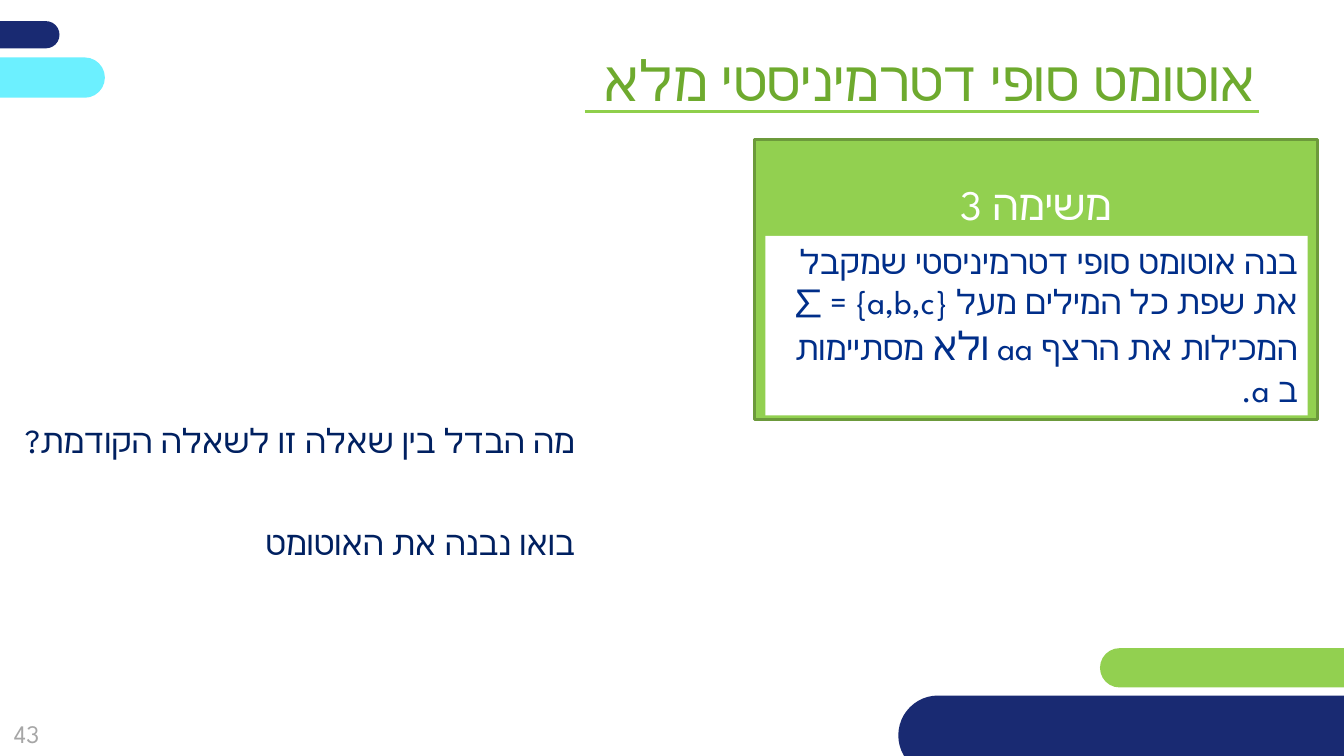
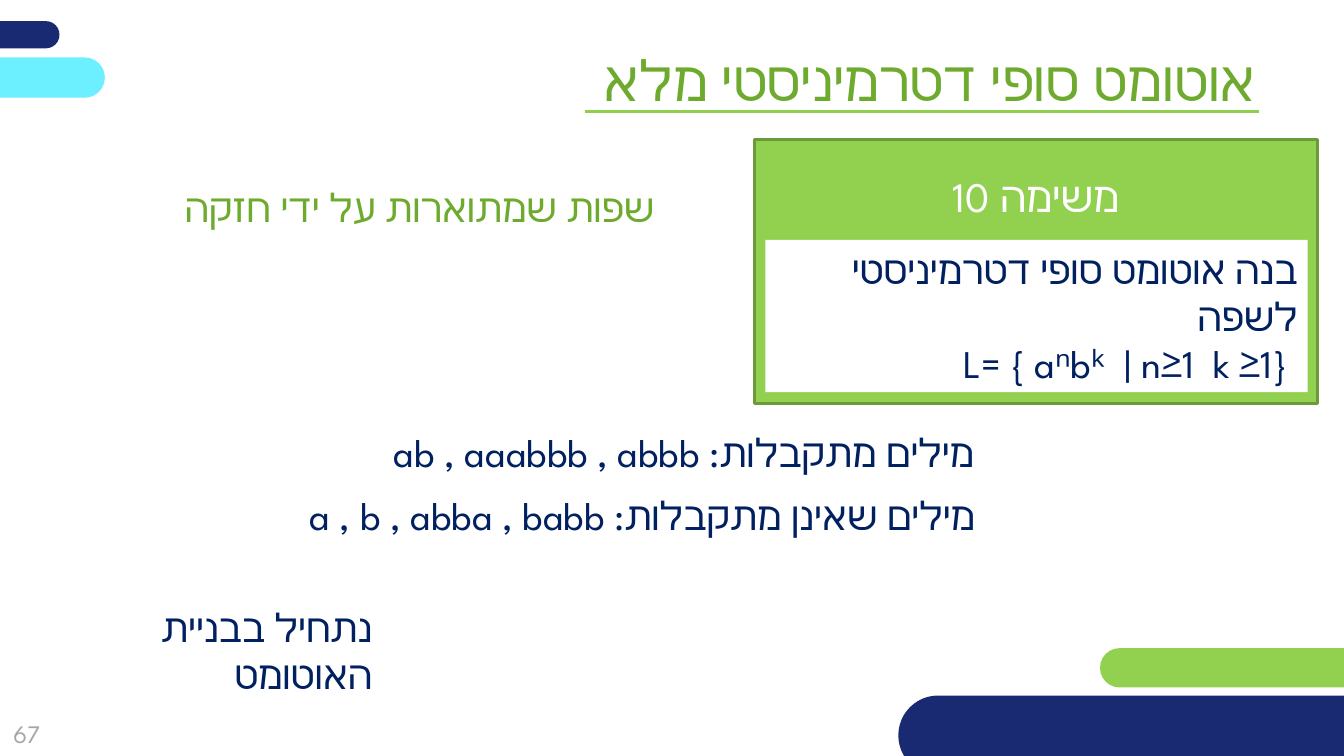
"""Build two Hebrew slides with tasks on complete deterministic finite automata."""
from dataclasses import dataclass

from lxml import etree
from pptx import Presentation
from pptx import util as u
from pptx.dml.color import RGBColor
from pptx.enum import shapes, text
from pptx.oxml.ns import qn

PX = 9144


@dataclass(frozen=True)
class Theme:
    font: str = "League Spartan"
    white: str = "FFFFFF"
    navy: str = "192A72"
    lime: str = "92D050"
    aqua: str = "6CF0FF"
    edge: str = "6C9A3B"
    rule: str = "8FCF4B"
    green: str = "6EAA2E"
    blue: str = "002E89"
    ink: str = "002060"
    gray: str = "A6A6A6"
    head: int = 40
    task: int = 30
    large: int = 28
    body: int = 24
    page: int = 18


T = Theme()


@dataclass(frozen=True)
class Box:
    x: int
    y: int
    w: int
    h: int


@dataclass(frozen=True)
class Pill:
    box: Box
    fill: str


@dataclass(frozen=True)
class Run:
    text: str
    size: int


@dataclass(frozen=True)
class Line:
    runs: tuple[Run, ...]
    rtl: bool = True


@dataclass(frozen=True)
class Note:
    box: Box
    line: Line
    color: str = T.ink
    wrap: bool = False
    after: int = 0


@dataclass(frozen=True)
class Task:
    name: str
    high: int
    box: Box
    lines: tuple[Line, ...]
    color: str


@dataclass(frozen=True)
class Page:
    num: str
    task: Task
    notes: tuple[Note, ...]


PILLS = (
    Pill(Box(-266, 21, 325, 27), T.navy),
    Pill(Box(1091, 643, 521, 39), T.lime),
    Pill(Box(-221, 57, 325, 40), T.aqua),
    Pill(Box(891, 690, 566, 79), T.navy),
)
TITLE = "אוטומט סופי דטרמיניסטי מלא"


def row(words: str, size: int, rtl: bool = True) -> Line:
    """Return a line made of one run."""
    return Line((Run(words, size),), rtl)


PAGES = (
    Page(
        "43",
        Task("משימה 3", 278, Box(759, 234, 538, 178), (Line((
            Run("בנה אוטומט סופי דטרמיניסטי שמקבל את שפת כל המילים מעל "
                "{a,b,c} = ∑ המכילות את הרצף aa ", T.body),
            Run("ולא", T.large),
            Run(" מסתיימות ב a.", T.body),
        )),), T.blue),
        (
            Note(Box(1, 412, 579, 91),
                 row("מה הבדל בין שאלה זו לשאלה הקודמת?", T.body), wrap=True, after=12),
            Note(Box(1, 513, 579, 50),
                 row("בואו נבנה את האוטומט", T.body), wrap=True, after=12),
        ),
    ),
    Page(
        "67",
        Task("משימה 10", 262, Box(759, 238, 538, 151), (
            row("בנה אוטומט סופי דטרמיניסטי לשפה", T.large),
            row("L= { aⁿbᵏ  | n≥1  k ≥1} ", T.large, rtl=False),
        ), T.ink),
        (
            Note(Box(173, 177, 486, 57),
                 row("שפות שמתוארות על ידי חזקה", T.large), T.green),
            Note(Box(372, 420, 604, 57),
                 row("מילים מתקבלות: ab , aaabbb , abbb ", T.large)),
            Note(Box(288, 483, 689, 57),
                 row("מילים שאינן מתקבלות: a , b , abba , babb ", T.large)),
            Note(Box(4, 594, 375, 57), row("נתחיל בבניית האוטומט", T.large)),
        ),
    ),
)


def emu(box: Box) -> tuple[int, int, int, int]:
    """Turn a box in px into EMU lengths."""
    return box.x * PX, box.y * PX, box.w * PX, box.h * PX


def rgb(code: str) -> RGBColor:
    """Return a colour object."""
    return RGBColor.from_string(code)


def shape(slide, kind, box: Box, fill: str, edge: str = ""):
    """Add a flat filled shape."""
    item = slide.shapes.add_shape(kind, *emu(box))
    item.shadow.inherit = False
    item.fill.solid()
    item.fill.fore_color.rgb = rgb(fill)
    if edge:
        item.line.color.rgb = rgb(edge)
        item.line.width = u.Pt(2)
    else:
        item.line.fill.background()
    return item


def write(frame, lines: tuple[Line, ...], color: str, align=text.PP_ALIGN.RIGHT,
          mid: bool = False, wrap: bool = True, after: int = 0) -> None:
    """Fill a text frame with formatted lines."""
    frame.word_wrap = wrap
    frame.vertical_anchor = text.MSO_ANCHOR.MIDDLE if mid else text.MSO_ANCHOR.TOP
    if not mid:
        frame.auto_size = text.MSO_AUTO_SIZE.SHAPE_TO_FIT_TEXT
    for i, line in enumerate(lines):
        para = frame.add_paragraph() if i else frame.paragraphs[0]
        para.alignment = align
        para._p.get_or_add_pPr().set("rtl", str(int(line.rtl)))
        if after:
            para.space_after = u.Pt(after)
        for part in line.runs:
            run = para.add_run()
            run.text = part.text
            run.font.name = T.font
            run.font.size = u.Pt(part.size)
            run.font.color.rgb = rgb(color)
            etree.SubElement(run.font._element, qn("a:cs"), typeface=T.font)


def note(slide, item: Note) -> None:
    """Add a right-aligned text box."""
    frame = slide.shapes.add_textbox(*emu(item.box)).text_frame
    write(frame, (item.line,), item.color, wrap=item.wrap, after=item.after)


def base(slide, num: str) -> None:
    """Draw the pills, page number, rule and title."""
    for pill in PILLS:
        item = shape(slide, shapes.MSO_SHAPE.ROUNDED_RECTANGLE, pill.box, pill.fill)
        item.adjustments[0] = 0.5
    frame = slide.shapes.add_textbox(*emu(Box(-18, 699, 89, 57))).text_frame
    write(frame, (row(num, T.page, rtl=False),), T.gray, text.PP_ALIGN.CENTER, mid=True)
    rule = slide.shapes.add_connector(
        shapes.MSO_CONNECTOR.STRAIGHT, 580 * PX, 111 * PX, 1249 * PX, 111 * PX)
    rule.line.color.rgb = rgb(T.rule)
    rule.line.width = u.Pt(2.25)
    etree.SubElement(rule._element.spPr, qn("a:effectLst"))
    note(slide, Note(Box(440, 40, 816, 77), row(TITLE, T.head), T.green, wrap=True))


def card(slide, task: Task) -> None:
    """Draw a task card with its white panel."""
    rect = shapes.MSO_SHAPE.RECTANGLE
    back = shape(slide, rect, Box(748, 138, 559, task.high), T.lime, T.edge)
    back.text_frame.margin_bottom = 155 * PX
    write(back.text_frame, (row(task.name, T.task),), T.white,
          text.PP_ALIGN.CENTER, mid=True)
    panel = shape(slide, rect, task.box, T.white)
    write(panel.text_frame, task.lines, task.color)


def main() -> None:
    """Build and save the deck."""
    deck = Presentation()
    deck.slide_width, deck.slide_height = u.Inches(13.33), u.Inches(7.5)
    for page in PAGES:
        slide = deck.slides.add_slide(deck.slide_layouts[6])
        base(slide, page.num)
        card(slide, page.task)
        for item in page.notes:
            note(slide, item)
    deck.save("out.pptx")


if __name__ == "__main__":
    main()
